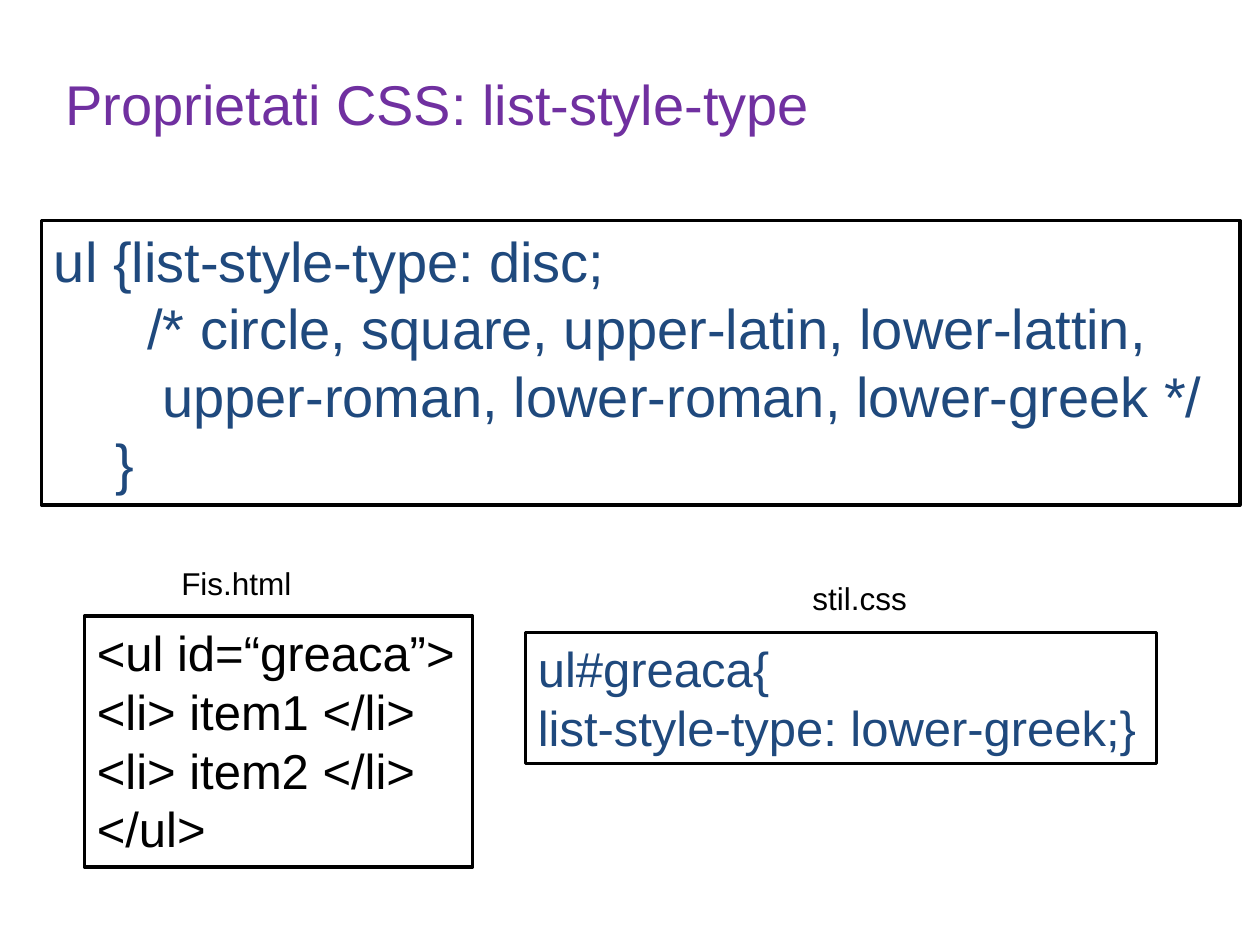
from pptx import Presentation
from pptx.dml.color import RGBColor
from pptx.enum.shapes import MSO_SHAPE
from pptx.enum.text import MSO_ANCHOR, MSO_AUTO_SIZE, PP_ALIGN
from pptx.util import Inches, Pt

COLORS = {"title": "7030A0", "css": "1F497D", "text": "000000", "paper": "FFFFFF"}


class SlideBuilder:
    font = "Arial"

    def __init__(self, slide):
        self.slide = slide

    def color(self, name):
        return RGBColor.from_string(COLORS[name])

    def place(self, shape, left, top, width, height):
        shape.left, shape.top = Inches(left), Inches(top)
        shape.width, shape.height = Inches(width), Inches(height)

    def set_text(self, shape, lines, size, color):
        frame = shape.text_frame
        frame.word_wrap = True
        frame.auto_size = MSO_AUTO_SIZE.NONE
        frame.vertical_anchor = MSO_ANCHOR.TOP
        frame.margin_right = 0
        for index, (text, indent) in enumerate(lines):
            paragraph = frame.add_paragraph() if index else frame.paragraphs[0]
            paragraph.text = text
            paragraph.alignment = PP_ALIGN.LEFT
            paragraph.font.name = self.font
            paragraph.font.size = Pt(size)
            paragraph.font.color.rgb = self.color(color)
            if indent:
                properties = paragraph._p.get_or_add_pPr()
                properties.set("marL", str(Inches(indent)))
                properties.set("indent", "0")

    def title(self, text, *area):
        shape = self.slide.shapes.title
        self.place(shape, *area)
        self.set_text(shape, [(text, 0)], 32, "title")

    def label(self, text, *area):
        box = self.slide.shapes.add_textbox(*map(Inches, area))
        self.set_text(box, [(text, 0)], 18, "text")

    def code(self, lines, size, color, *area):
        box = self.slide.shapes.add_shape(MSO_SHAPE.RECTANGLE, *map(Inches, area))
        box.shadow.inherit = False
        box.fill.solid()
        box.fill.fore_color.rgb = self.color("paper")
        box.line.color.rgb = self.color("text")
        box.line.width = Pt(2)
        self.set_text(box, lines, size, color)


deck = Presentation()
deck.slide_width, deck.slide_height = Inches(10), Inches(7.5)
page = SlideBuilder(deck.slides.add_slide(deck.slide_layouts[5]))

page.title("Proprietati CSS: list-style-type", 0.42, 0.5, 9.16, 0.7)
page.code(
    [
        ("ul {list-style-type: disc;", 0),
        ("/* circle, square, upper-latin, lower-lattin,", 0.74),
        ("upper-roman, lower-roman, lower-greek */", 0.86),
        ("}", 0.49),
    ],
    32, "css", 0.33, 1.75, 9.51, 2.26,
)
page.code(
    [
        ("<ul id=“greaca”>", 0),
        ("<li> item1 </li>", 0),
        ("<li> item2 </li>", 0),
        ("</ul>", 0),
    ],
    28, "text", 0.67, 4.89, 3.08, 1.99,
)
page.code(
    [("ul#greaca{", 0), ("list-style-type: lower-greek;}", 0)],
    28, "css", 4.17, 5.02, 5.01, 1.04,
)
page.label("Fis.html", 1.34, 4.43, 1.09, 0.4)
page.label("stil.css", 6.35, 4.55, 0.96, 0.4)

deck.save("out.pptx")
